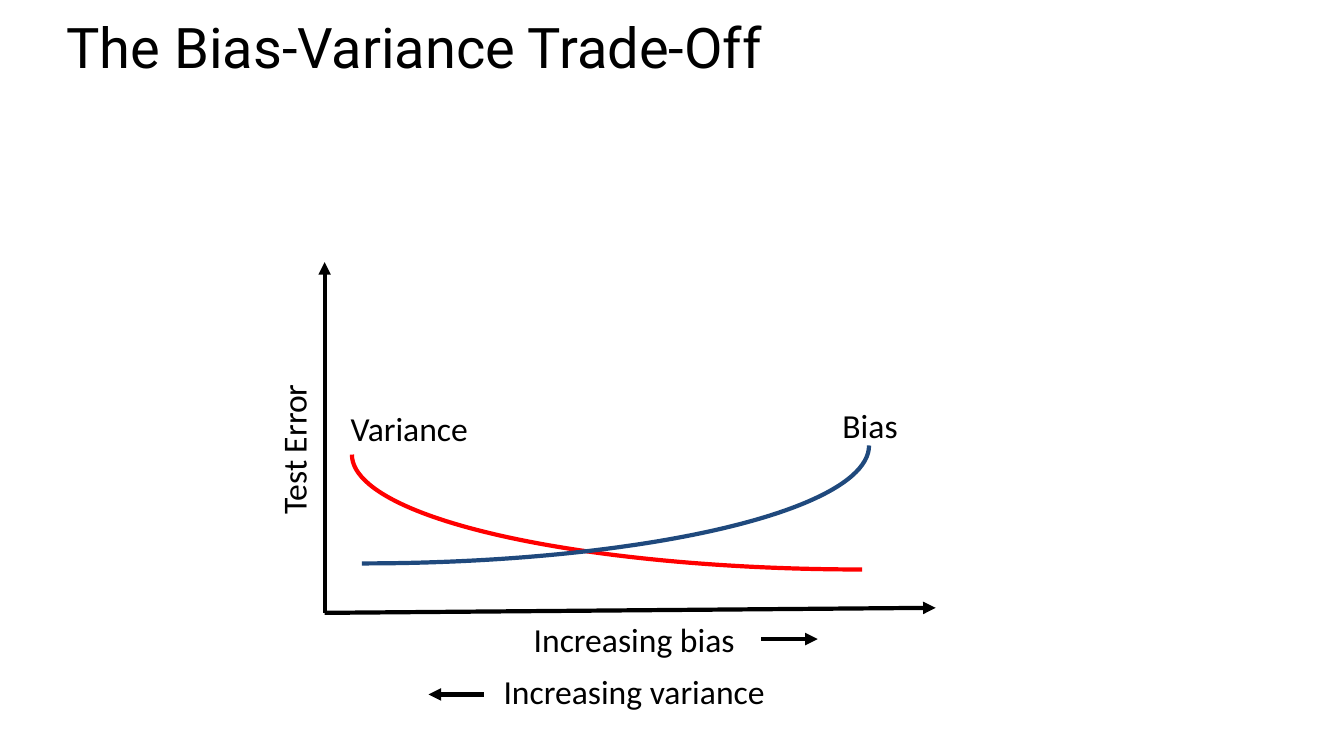
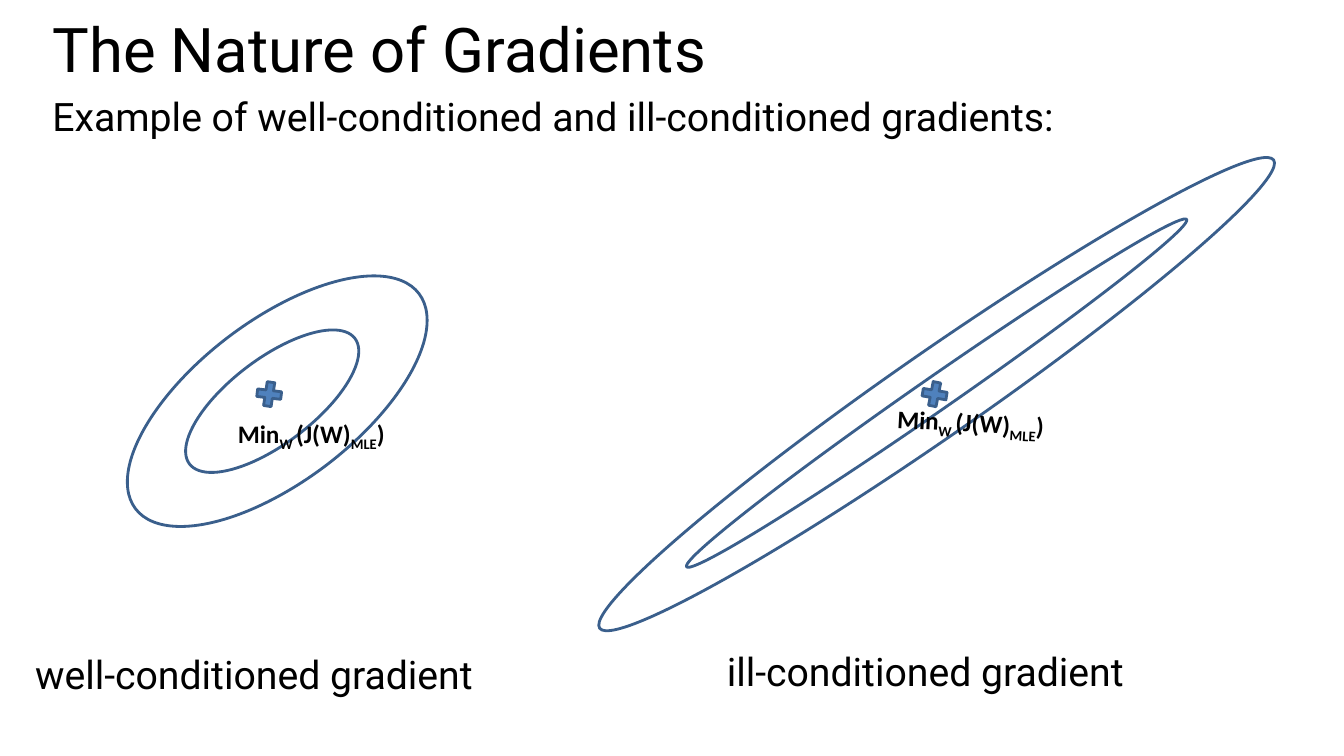
from dataclasses import dataclass

from pptx import Presentation
from pptx.dml.color import RGBColor
from pptx.enum.shapes import MSO_CONNECTOR, MSO_SHAPE
from pptx.enum.text import MSO_ANCHOR, MSO_AUTO_SIZE, PP_ALIGN
from pptx.oxml.ns import qn
from pptx.util import Inches, Pt
from lxml.etree import SubElement

BLACK = RGBColor(0x00, 0x00, 0x00)
RED = RGBColor(0xFF, 0x00, 0x00)
NAVY = RGBColor(0x1F, 0x49, 0x7D)
BLUE = RGBColor(0x4F, 0x81, 0xBD)
OUTLINE = RGBColor(0x3A, 0x5F, 0x8C)
HEADING_FONT, LABEL_FONT = "Roboto", "Calibri"
TITLE_AND_BODY, TITLE_ONLY = 1, 5
LABEL_WIDTH, LABEL_HEIGHT = 2.9, 0.5
CROSS_WIDTH, CROSS_HEIGHT = 0.33, 0.32
MINIMUM_RUNS = [("Min", 0), ("W ", -25), ("(J(W)", 0), ("MLE", -25), (")", 0)]


@dataclass
class Box:
    left: float
    top: float
    width: float
    height: float

    @property
    def bottom(self):
        return self.top + self.height

    def inside(self, left, top, width, height):
        """Box whose position is given from this box's top left corner."""
        return Box(self.left + left, self.top + top, width, height)

    def centred(self, x, y, width, height):
        """Box whose centre is given from this box's top left corner."""
        return self.inside(x - width / 2, y - height / 2, width, height)

    def lengths(self):
        return [Inches(value) for value in
                (self.left, self.top, self.width, self.height)]


def format_runs(paragraph, font_name, size, bold=False):
    for run in paragraph.runs:
        run.font.name = font_name
        run.font.size = Pt(size)
        run.font.bold = bold
        run.font.color.rgb = BLACK


def fill_placeholder(placeholder, box, text, size):
    placeholder.left, placeholder.top, placeholder.width, placeholder.height = box.lengths()
    frame = placeholder.text_frame
    frame.text = text
    frame.auto_size = MSO_AUTO_SIZE.NONE
    frame.vertical_anchor = MSO_ANCHOR.TOP
    paragraph = frame.paragraphs[0]
    paragraph.alignment = PP_ALIGN.LEFT
    format_runs(paragraph, HEADING_FONT, size)
    return paragraph


def add_title(slide, box, text, size):
    fill_placeholder(slide.shapes.title, box, text, size).line_spacing = 0.8


def add_lead(slide, box, text):
    paragraph = fill_placeholder(slide.placeholders[1], box, text, 28)
    paragraph.space_before = Pt(14)
    properties = paragraph._p.get_or_add_pPr()
    properties.set("marL", "0")
    properties.set("indent", "0")
    SubElement(properties, qn("a:buNone"))


def add_text(slide, box, text, font_name, size, alignment=PP_ALIGN.LEFT, rotation=0):
    text_box = slide.shapes.add_textbox(*box.lengths())
    text_box.rotation = rotation
    frame = text_box.text_frame
    frame.word_wrap = True
    frame.text = text
    paragraph = frame.paragraphs[0]
    paragraph.alignment = alignment
    format_runs(paragraph, font_name, size)
    return paragraph


def add_axis_label(slide, box, text, rotation=0):
    add_text(slide, box, text, LABEL_FONT, 24, PP_ALIGN.CENTER, rotation)


def add_arrow(slide, start, end):
    arrow = slide.shapes.add_connector(
        MSO_CONNECTOR.STRAIGHT, *(Inches(value) for value in (*start, *end)))
    arrow.line.color.rgb = BLACK
    arrow.line.width = Pt(3)
    SubElement(arrow.line._get_or_add_ln(), qn("a:tailEnd"), type="triangle")
    SubElement(arrow._element.spPr, qn("a:effectLst"))


def add_outline(slide, kind, box, color, width, rotation=0, fill=None):
    shape = slide.shapes.add_shape(kind, *box.lengths())
    shape.shadow.inherit = False
    shape.rotation = rotation
    shape.line.color.rgb = color
    shape.line.width = Pt(width)
    if fill is None:
        shape.fill.background()
    else:
        shape.fill.solid()
        shape.fill.fore_color.rgb = fill
    return shape


def add_curve(slide, box, color, mirrored):
    """Lower quarter of an ellipse: the right one, or the left one if mirrored."""
    curve = add_outline(slide, MSO_SHAPE.ARC, box, color, 3)
    transform = curve._element.spPr.find(qn("a:xfrm"))
    transform.set("flipV", "1")
    if mirrored:
        transform.set("flipH", "1")


def draw_error_plot(slide, plot):
    origin = (plot.left, plot.bottom)
    add_arrow(slide, origin, (plot.left, plot.top))
    add_arrow(slide, origin, (plot.left + plot.width, plot.bottom - 0.05))
    add_curve(slide, plot.inside(0.27, 0.77, 10.12, 2.28), RED, mirrored=True)
    add_curve(slide, plot.inside(-4.66, 0.65, 10.06, 2.34), NAVY, mirrored=False)

    for text, left, top, rotation in (
            ("Test Error", -1.76, 1.61, 270),
            ("Variance", -0.61, 1.4, 0),
            ("Bias", 3.96, 1.37, 0),
            ("Increasing bias", 1.62, 3.49, 0),
            ("Increasing variance", 1.62, 4.01, 0)):
        add_axis_label(slide, plot.inside(left, top, LABEL_WIDTH, LABEL_HEIGHT),
                       text, rotation)

    for start, end, drop in ((4.33, 4.89, 0.26), (1.58, 1.03, 0.81)):
        y = plot.bottom + drop
        add_arrow(slide, (plot.left + start, y), (plot.left + end, y))


def draw_contours(slide, panel, rings, tilt, cross, label, label_tilt, caption, caption_at):
    """Rings and cross are placed by their centres, texts by their top left corners."""
    for ring in rings:
        add_outline(slide, MSO_SHAPE.OVAL, panel.centred(*ring), OUTLINE, 2, tilt)
    add_outline(slide, MSO_SHAPE.MATH_MULTIPLY,
                panel.centred(*cross, CROSS_WIDTH, CROSS_HEIGHT), OUTLINE, 2, tilt, BLUE)
    add_minimum_label(slide, panel.inside(*label, 2.38, 0.4), label_tilt)
    paragraph = add_text(slide, panel.inside(*caption_at, 5.01, 0.74),
                         caption, HEADING_FONT, 28)
    paragraph.space_before = Pt(14)


def add_minimum_label(slide, box, rotation):
    paragraph = add_text(slide, box, "", LABEL_FONT, 18, rotation=rotation)
    for text, baseline in MINIMUM_RUNS:
        run = paragraph.add_run()
        run.text = text
        if baseline:
            run._r.get_or_add_rPr().set("baseline", f"{baseline * 1000}")
    format_runs(paragraph, LABEL_FONT, 18, bold=True)


def build_trade_off_slide(presentation):
    slide = presentation.slides.add_slide(presentation.slide_layouts[TITLE_ONLY])
    add_title(slide, Box(0.56, 0.2, 12.46, 1.16), "The Bias-Variance Trade-Off", 40)
    draw_error_plot(slide, Box(3.22, 2.6, 6.06, 3.48))


def build_gradients_slide(presentation):
    slide = presentation.slides.add_slide(presentation.slide_layouts[TITLE_AND_BODY])
    add_title(slide, Box(0.42, 0.2, 12.6, 0.84), "The Nature of Gradients", 44)
    add_lead(slide, Box(0.42, 0.87, 12.6, 0.74),
             "Example of well-conditioned and ill-conditioned gradients:")
    draw_contours(
        slide, Box(0.25, 1.5, 5.01, 5.6),
        rings=[(2.45, 2.48, 2.06, 0.84), (2.5, 2.48, 3.53, 1.6)], tilt=322.8,
        cross=(2.42, 2.41), label=(2.01, 2.6), label_tilt=0,
        caption="well-conditioned gradient", caption_at=(0, 4.9))
    draw_contours(
        slide, Box(5.25, 1.5, 8.08, 5.6),
        rings=[(4.04, 2.4, 6.04, 0.33), (4.04, 2.41, 8.14, 0.84)], tilt=325.2,
        cross=(4.02, 2.41), label=(3.55, 2.51), label_tilt=3.1,
        caption="ill-conditioned gradient", caption_at=(1.86, 4.87))


def main():
    presentation = Presentation()
    presentation.slide_width = Inches(13.33)
    presentation.slide_height = Inches(7.5)
    build_trade_off_slide(presentation)
    build_gradients_slide(presentation)
    presentation.save("out.pptx")


if __name__ == "__main__":
    main()
